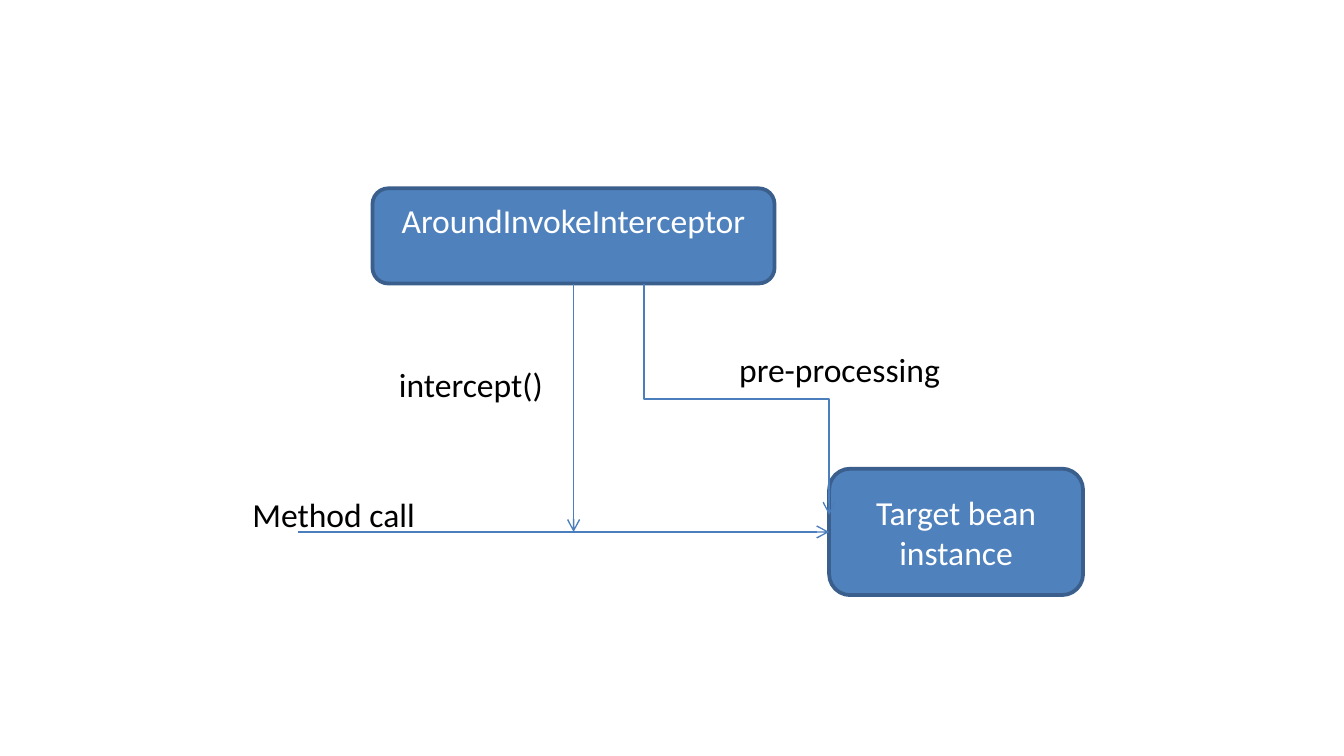
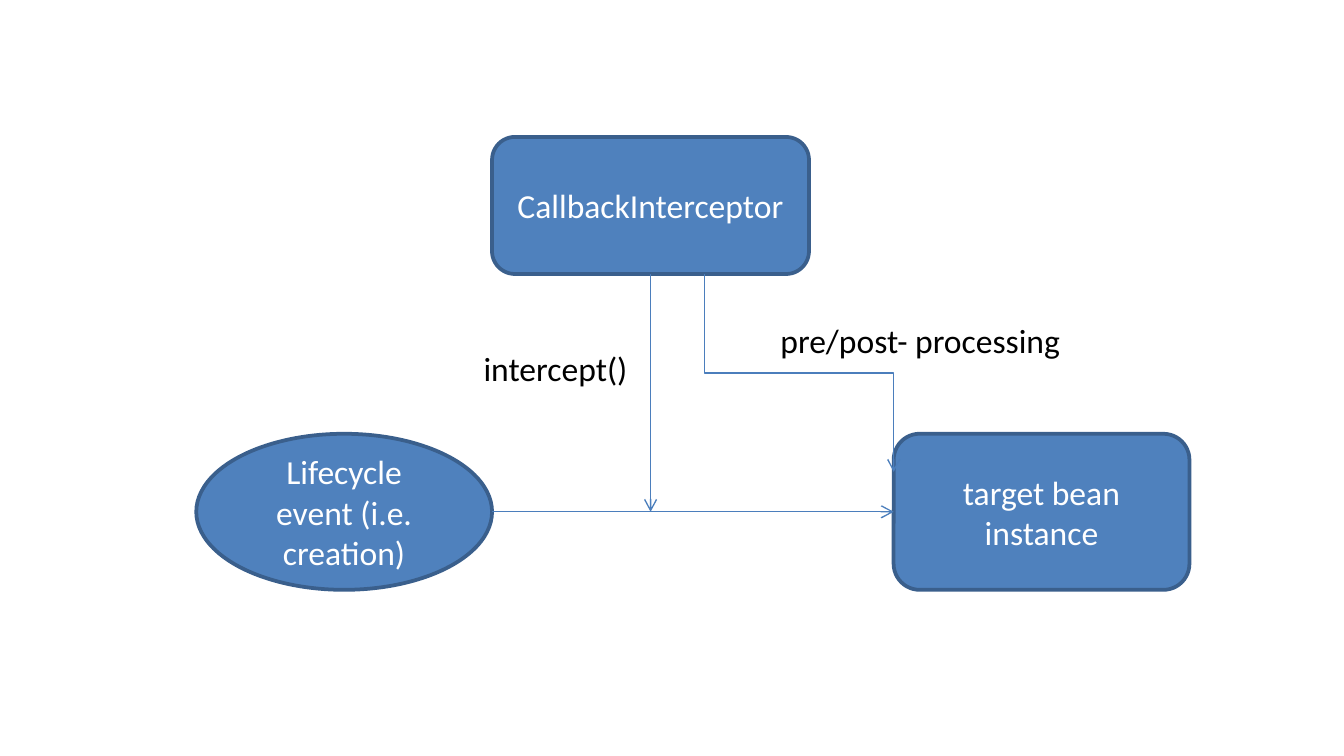
"""Build two diagrams of how interceptors wrap calls to a bean."""
from lxml.etree import SubElement
from pptx import Presentation
from pptx.dml.color import RGBColor
from pptx.enum.shapes import MSO_CONNECTOR, MSO_SHAPE
from pptx.enum.text import MSO_ANCHOR, MSO_AUTO_SIZE, PP_ALIGN
from pptx.oxml.ns import qn
from pptx.util import Cm, Pt

BLUE = RGBColor(0x4F, 0x81, 0xBD)
EDGE = RGBColor(0x3A, 0x5F, 0x8C)
ARROW = RGBColor(0x4B, 0x7E, 0xBC)
WHITE = RGBColor(0xFF, 0xFF, 0xFF)
BLACK = RGBColor(0x00, 0x00, 0x00)
FONT = "Calibri"
BOTTOM, LEFT = 2, 1


class Diagram:
    def __init__(self, prs):
        self.prs = prs
        self.s = None

    def new_slide(self):
        self.s = self.prs.slides.add_slide(self.prs.slide_layouts[6])

    def text_run(self, p, text, color):
        r = p.add_run()
        r.text = text
        r.font.name = FONT
        r.font.size = Pt(18)
        r.font.color.rgb = color

    def node(self, text, x, y, w, h, kind=MSO_SHAPE.ROUNDED_RECTANGLE,
             anchor=MSO_ANCHOR.MIDDLE):
        sp = self.s.shapes.add_shape(kind, Cm(x), Cm(y), Cm(w), Cm(h))
        sp.shadow.inherit = False
        sp.fill.solid()
        sp.fill.fore_color.rgb = BLUE
        sp.line.color.rgb = EDGE
        sp.line.width = Pt(2)
        tf = sp.text_frame
        tf.word_wrap = True
        tf.vertical_anchor = anchor
        p = tf.paragraphs[0]
        p.alignment = PP_ALIGN.CENTER
        self.text_run(p, text, WHITE)
        return sp

    def label(self, text, x, y, w):
        tf = self.s.shapes.add_textbox(Cm(x), Cm(y), Cm(w), Cm(1.02)).text_frame
        tf.word_wrap = False
        tf.auto_size = MSO_AUTO_SIZE.SHAPE_TO_FIT_TEXT
        self.text_run(tf.paragraphs[0], text, BLACK)

    def connector(self, kind, x1, y1, x2, y2):
        cx = self.s.shapes.add_connector(kind, int(x1), int(y1), int(x2), int(y2))
        cx.line.color.rgb = ARROW
        cx.line.width = Pt(0.75)
        props = cx._element.spPr
        SubElement(props.get_or_add_ln(), qn("a:tailEnd"), type="arrow")
        SubElement(props, qn("a:effectLst"))
        return cx

    def call_arrow(self, x, target):
        y = target.top + target.height / 2
        cx = self.connector(MSO_CONNECTOR.STRAIGHT, Cm(x), y, target.left, y)
        cx.end_connect(target, LEFT)

    def intercept_arrow(self, source, target):
        x = source.left + source.width / 2
        y = target.top + target.height / 2
        cx = self.connector(MSO_CONNECTOR.STRAIGHT, x, source.top + source.height, x, y)
        cx.begin_connect(source, BOTTOM)

    def processing_arrow(self, source, target, x, y):
        x1, y1 = Cm(x), source.top + source.height
        x2, y2 = target.left, Cm(y)
        mid_x, mid_y = (x1 + x2) / 2, (y1 + y2) / 2
        half_w, half_h = (y2 - y1) / 2, (x2 - x1) / 2
        cx = self.connector(MSO_CONNECTOR.ELBOW, mid_x + half_w, mid_y - half_h,
                            mid_x - half_w, mid_y + half_h)
        cx._element.spPr.find(qn("a:xfrm")).set("rot", str(270 * 60000))


def method_call(d):
    d.new_slide()
    target = d.node("Target bean instance", 15.67, 8.86, 4.8, 2.39)
    d.call_arrow(5.64, target)
    d.label("Method call", 4.52, 9.22, 3.63)
    interceptor = d.node("AroundInvokeInterceptor", 7.04, 3.56, 7.6, 1.8,
                         anchor=MSO_ANCHOR.TOP)
    d.intercept_arrow(interceptor, target)
    d.label("intercept()", 7.29, 6.76, 3.28)
    d.processing_arrow(interceptor, target, 12.17, 9.73)
    d.label("pre-processing", 13.72, 6.48, 4.34)


def lifecycle_event(d):
    d.new_slide()
    d.node("Lifecycle event (i.e. creation)", 3.71, 8.2, 5.59, 2.95, MSO_SHAPE.OVAL)
    target = d.node("target bean instance", 16.89, 8.2, 5.59, 2.95)
    interceptor = d.node("CallbackInterceptor", 9.3, 2.59, 5.99, 2.59)
    d.call_arrow(9.3, target)
    d.intercept_arrow(interceptor, target)
    d.label("intercept()", 8.89, 6.45, 3.28)
    d.processing_arrow(interceptor, target, 13.31, 8.92)
    d.label("pre/post- processing", 14.5, 5.92, 5.87)


def main():
    prs = Presentation()
    prs.slide_width, prs.slide_height = Cm(25.4), Cm(14.29)
    d = Diagram(prs)
    method_call(d)
    lifecycle_event(d)
    prs.save("out.pptx")


if __name__ == "__main__":
    main()
